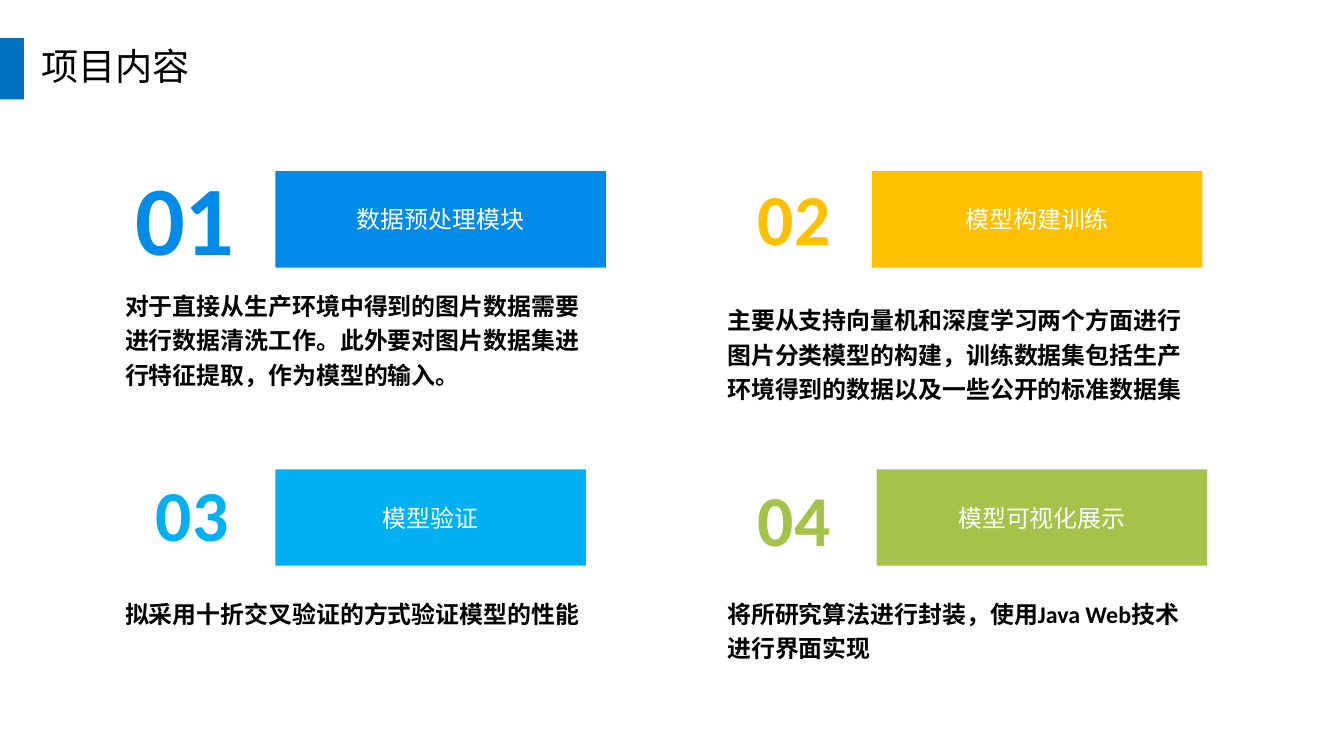
from dataclasses import dataclass

from pptx import Presentation
from pptx.dml.color import RGBColor
from pptx.enum.shapes import MSO_SHAPE
from pptx.enum.text import MSO_ANCHOR, MSO_AUTO_SIZE, PP_ALIGN
from pptx.shapes.autoshape import Shape
from pptx.slide import Slide
from pptx.util import Inches, Pt

# Grid: two columns of panels in two rows, in inches
COLUMNS = (1.21, 7.51)
ROWS = (1.79, 4.91)
BANNER_HEIGHT = 1.01
BODY_WIDTH, BODY_HEIGHT = 5.12, 1.19
HEADER_TOP = 0.4


@dataclass(frozen=True)
class Panel:
    """A numbered topic; offsets are measured from its grid point."""
    heading: str
    body: str
    color: str
    banner_offset: float = 1.67
    banner_width: float = 3.46
    number_offset: float = -0.06
    number_width: float = 1.6
    number_height: float = 1.07
    number_size: int = 54
    body_offset: float = 1.25


PANELS = (
    Panel("数据预处理模块",
          "对于直接从生产环境中得到的图片数据需要进行数据清洗工作。"
          "此外要对图片数据集进行特征提取，作为模型的输入。",
          "018BE9", number_width=1.45, number_size=74, body_offset=1.15),
    Panel("模型构建训练",
          "主要从支持向量机和深度学习两个方面进行图片分类模型的构建，"
          "训练数据集包括生产环境得到的数据以及一些公开的标准数据集",
          "FFC000", banner_offset=1.61, body_offset=1.3),
    Panel("模型验证", "拟采用十折交叉验证的方式验证模型的性能",
          "00B0F0", banner_width=3.25, number_offset=-0.1, number_height=1.11),
    Panel("模型可视化展示", "将所研究算法进行封装，使用Java Web技术进行界面实现",
          "A5C249", banner_offset=1.66, number_offset=-0.24, number_height=1.49),
)


def rgb(color: str) -> RGBColor:
    return RGBColor.from_string(color)


def write(shape: Shape, text: str, size: int, color: str, font: str = "Calibri",
          bold: bool = False, align: PP_ALIGN = PP_ALIGN.LEFT,
          anchor: MSO_ANCHOR = MSO_ANCHOR.TOP, line_spacing: float = 1.0) -> None:
    frame = shape.text_frame
    frame.word_wrap = True
    frame.vertical_anchor = anchor
    frame.text = text
    para = frame.paragraphs[0]
    para.alignment = align
    para.line_spacing = line_spacing
    for span in para.runs:
        span.font.name = font
        span.font.size = Pt(size)
        span.font.bold = bold
        span.font.color.rgb = rgb(color)


def add_bar(page: Slide, left: float, top: float, width: float,
            height: float, color: str) -> Shape:
    bar = page.shapes.add_shape(MSO_SHAPE.RECTANGLE, Inches(left), Inches(top),
                                Inches(width), Inches(height))
    bar.shadow.inherit = False
    bar.fill.solid()
    bar.fill.fore_color.rgb = rgb(color)
    bar.line.fill.background()
    return bar


def add_box(page: Slide, left: float, top: float, width: float, height: float) -> Shape:
    return page.shapes.add_textbox(Inches(left), Inches(top),
                                   Inches(width), Inches(height))


def add_panel(page: Slide, index: int, panel: Panel) -> None:
    row, column = divmod(index, len(COLUMNS))
    left, top = COLUMNS[column], ROWS[row]

    banner = add_bar(page, left + panel.banner_offset, top,
                     panel.banner_width, BANNER_HEIGHT, panel.color)
    write(banner, panel.heading, 18, "FFFFFF", font="Arial",
          align=PP_ALIGN.CENTER, anchor=MSO_ANCHOR.MIDDLE)

    number = add_box(page, left, top + panel.number_offset,
                     panel.number_width, panel.number_height)
    write(number, f"{index + 1:02d}", panel.number_size, panel.color, bold=True,
          align=PP_ALIGN.CENTER, anchor=MSO_ANCHOR.MIDDLE)
    frame = number.text_frame
    frame.margin_left = frame.margin_right = frame.margin_top = frame.margin_bottom = 0

    body = add_box(page, left, top + panel.body_offset, BODY_WIDTH, BODY_HEIGHT)
    write(body, panel.body, 18, "000000", bold=True, line_spacing=1.2)


def add_header(page: Slide, text: str) -> None:
    title = page.shapes.title
    title.left, title.top = Inches(0.33), Inches(HEADER_TOP)
    title.width, title.height = Inches(1.77), Inches(0.57)
    write(title, text, 28, "000000", font="Arial")
    # No right margin, so that the four characters fit on one line
    frame = title.text_frame
    frame.auto_size = MSO_AUTO_SIZE.NONE
    frame.margin_left, frame.margin_right = Inches(0.1), 0
    add_bar(page, 0, HEADER_TOP, 0.25, 0.64, "0070C0")


# Deck and title-only page
deck = Presentation()
deck.slide_width, deck.slide_height = Inches(14.06), Inches(7.91)
page = deck.slides.add_slide(deck.slide_layouts.get_by_name("Title Only"))

# Header, then the four panels
add_header(page, "项目内容")
for index, panel in enumerate(PANELS):
    add_panel(page, index, panel)

deck.save("out.pptx")
